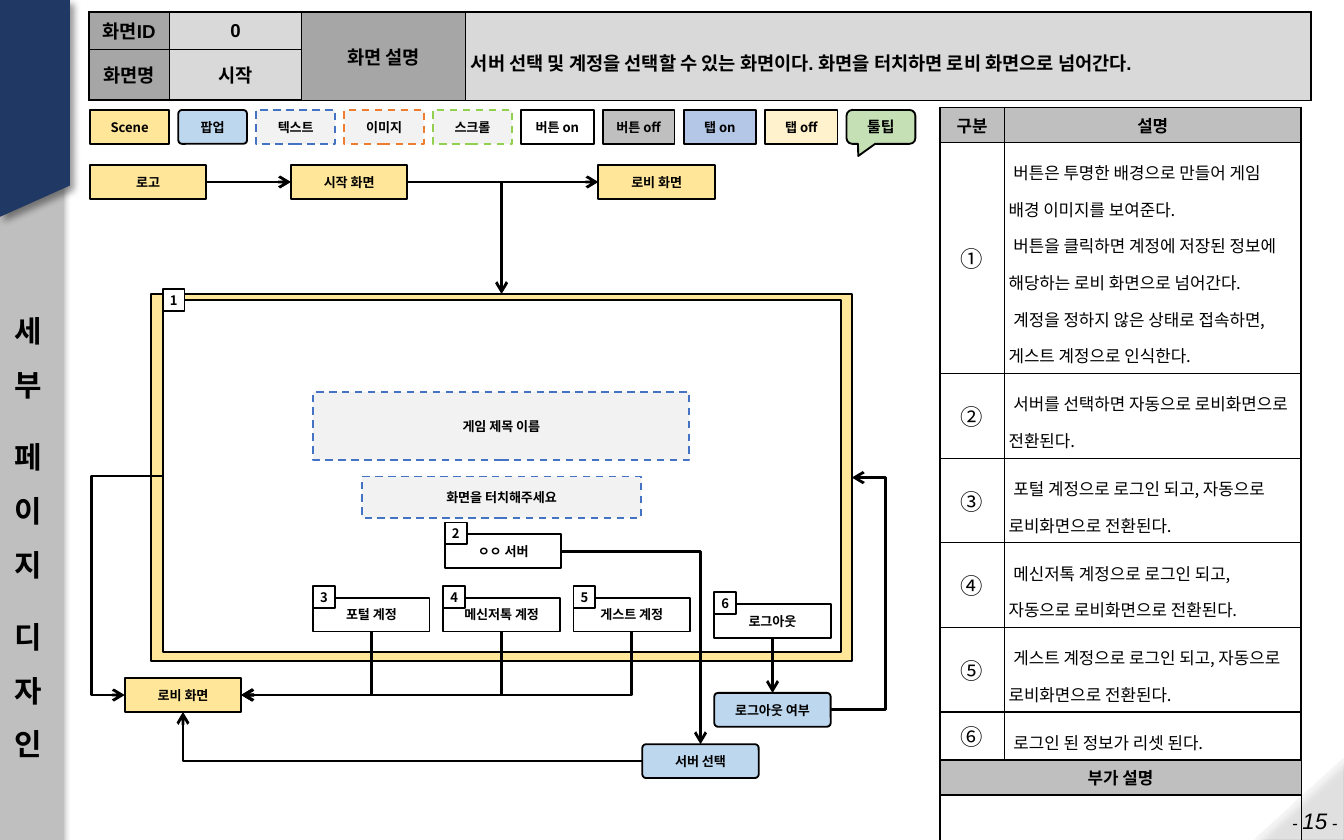
from lxml import etree
from pptx import Presentation
from pptx.dml.color import RGBColor
from pptx.enum.dml import MSO_LINE
from pptx.enum.shapes import MSO_CONNECTOR, MSO_SHAPE
from pptx.enum.text import MSO_ANCHOR, PP_ALIGN
from pptx.oxml import parse_xml
from pptx.oxml.ns import nsdecls, qn
from pptx.util import Cm, Pt

BLACK = RGBColor(0x00, 0x00, 0x00)
WHITE = RGBColor(0xFF, 0xFF, 0xFF)
NAVY = RGBColor(0x20, 0x38, 0x64)
PALE_GRAY = RGBColor(0xF2, 0xF2, 0xF2)
LIGHT_GRAY = RGBColor(0xD9, 0xD9, 0xD9)
GRAY = RGBColor(0xBF, 0xBF, 0xBF)
DARK_GRAY = RGBColor(0xA6, 0xA6, 0xA6)
SCENE = RGBColor(0xFF, 0xE6, 0x99)
POPUP = RGBColor(0xBD, 0xD7, 0xEE)
TOOLTIP = RGBColor(0xC5, 0xE0, 0xB4)
TAB_ON = RGBColor(0xB4, 0xC7, 0xE7)
TAB_OFF = RGBColor(0xFF, 0xF2, 0xCC)
BLUE = RGBColor(0x44, 0x72, 0xC4)
ORANGE = RGBColor(0xED, 0x7D, 0x31)
GREEN = RGBColor(0x92, 0xD0, 0x50)
KOREAN = "Noto Sans CJK KR"
RECT, ROUND = MSO_SHAPE.RECTANGLE, MSO_SHAPE.ROUNDED_RECTANGLE
TOP, LEFT, BOTTOM, RIGHT = range(4)
BOX_WIDTH, BOX_HEIGHT = 2.2, 0.64


def style_run(run, size, bold=False, font=KOREAN):
    run.font.size, run.font.bold, run.font.name = Pt(size), bold, font
    run.font.color.rgb = BLACK
    east_asian = etree.SubElement(run.font._element, qn("a:ea"))
    east_asian.set("typeface", KOREAN)


def style_text(text_frame, size, bold=False, font=KOREAN, align=PP_ALIGN.CENTER, spacing=None):
    for paragraph in text_frame.paragraphs:
        paragraph.alignment = align
        if spacing:
            paragraph.line_spacing = spacing
        for run in paragraph.runs:
            style_run(run, size, bold, font)


def add_box(slide, text, x, y, width=BOX_WIDTH, height=BOX_HEIGHT, fill=WHITE,
            kind=RECT, dash=None):
    shape = slide.shapes.add_shape(kind, Cm(x), Cm(y), Cm(width), Cm(height))
    shape.shadow.inherit = False
    shape.fill.solid()
    shape.fill.fore_color.rgb = fill
    shape.line.width = Pt(1)
    shape.line.color.rgb = dash or BLACK
    if dash:
        shape.line.dash_style = MSO_LINE.DASH
    if kind == ROUND:
        shape.adjustments[0] = 0.11
    if text:
        shape.text_frame.text = text
        shape.text_frame.vertical_anchor = MSO_ANCHOR.MIDDLE
        style_text(shape.text_frame, 8 if fill == TOOLTIP else 7, True)
    return shape


def add_tag(slide, number, x, y):
    tag = add_box(slide, str(number), x, y, 0.41, 0.41)
    frame = tag.text_frame
    frame.margin_left = frame.margin_right = frame.margin_top = frame.margin_bottom = 0


def add_button(slide, number, text, x, y):
    button = add_box(slide, text, x, y)
    add_tag(slide, number, x, y - 0.22)
    return button


def add_arrow(slide, start, start_side, end, end_side, kind=None, via=None, arrow="tailEnd"):
    """Join two shapes; kind names an elbow preset, via the x of its middle part."""
    connector = slide.shapes.add_connector(
        MSO_CONNECTOR.ELBOW if kind else MSO_CONNECTOR.STRAIGHT, 0, 0, 0, 0)
    connector.begin_connect(start, start_side)
    connector.end_connect(end, end_side)
    connector.line.color.rgb = BLACK
    connector.line.width = Pt(1.5)
    etree.SubElement(connector.line._get_or_add_ln(), qn("a:" + arrow)).set("type", "arrow")
    properties = connector._element.spPr
    etree.SubElement(properties, qn("a:effectLst"))
    if kind:
        geometry = properties.find(qn("a:prstGeom"))
        geometry.set("prst", kind)
        if via:
            share = (Cm(via) - connector.begin_x) / (connector.end_x - connector.begin_x)
            guide = etree.SubElement(geometry.find(qn("a:avLst")), qn("a:gd"))
            guide.set("name", "adj1")
            guide.set("fmla", f"val {round(share * 100000)}")


def add_shadowed(shape, fill, direction, alpha=None):
    shape.fill.solid()
    shape.fill.fore_color.rgb = fill
    shape.line.fill.background()
    if alpha:
        color = shape._element.spPr.find(qn("a:solidFill"))[0]
        etree.SubElement(color, qn("a:alpha")).set("val", str(alpha * 1000))
    shape._element.spPr.append(parse_xml(
        f'<a:effectLst {nsdecls("a")}><a:outerShdw blurRad="{Pt(4)}" dist="{Pt(3)}" '
        f'dir="{direction * 60000}" algn="t" rotWithShape="0"><a:srgbClr val="000000">'
        '<a:alpha val="40000"/></a:srgbClr></a:outerShdw></a:effectLst>'))


def add_grid(slide, x, y, widths, heights):
    frame = slide.shapes.add_table(len(heights), len(widths), Cm(x), Cm(y),
                                   Cm(sum(widths)), Cm(sum(heights)))
    table = frame.table
    table.first_row = table.horz_banding = False
    for column, width in zip(table.columns, widths):
        column.width = Cm(width)
    for row, height in zip(table.rows, heights):
        row.height = Cm(height)
    return table


def set_cell(cell, text, size, bold=False, fill=None, font=KOREAN, align=PP_ALIGN.CENTER,
             spacing=None):
    cell.margin_left = cell.margin_right = cell.margin_top = cell.margin_bottom = Cm(0.1)
    cell.vertical_anchor = MSO_ANCHOR.MIDDLE
    cell.text_frame.text = text
    style_text(cell.text_frame, size, bold, font, align, spacing)
    if fill:
        cell.fill.solid()
        cell.fill.fore_color.rgb = fill


def rule_table(table, thin_rows=()):
    """Border every cell: 1 pt outside, 0.5 pt between columns and below thin rows."""
    last_row, last_column = len(table.rows) - 1, len(table.columns) - 1
    for r in range(last_row + 1):
        for c in range(last_column + 1):
            cell = table.cell(r, c)
            if cell._tc.tcPr is None or cell._tc.tcPr.find(qn("a:solidFill")) is None:
                cell.fill.background()
            widths = {"lnL": 0.5 if c else 1, "lnR": 1 if c == last_column else 0.5,
                      "lnT": 0.5 if r - 1 in thin_rows else 1,
                      "lnB": 0.5 if r in thin_rows else 1}
            for index, (side, width) in enumerate(widths.items()):
                cell._tc.tcPr.insert(index, parse_xml(
                    f'<a:{side} {nsdecls("a")} w="{Pt(width)}"><a:solidFill>'
                    f'<a:srgbClr val="000000"/></a:solidFill></a:{side}>'))


def add_side_decoration(slide):
    add_shadowed(slide.shapes.add_shape(RECT, 0, 0, Cm(1.2), Cm(15.88)), GRAY, 90)
    corner = slide.shapes.add_shape(MSO_SHAPE.RIGHT_TRIANGLE, Cm(23.77), Cm(14.25),
                                    Cm(1.55), Cm(1.7))
    corner.rotation = 270
    add_shadowed(corner, PALE_GRAY, 45, 70)
    builder = slide.shapes.build_freeform(0, 0)
    builder.add_line_segments([(Cm(1.32), 0), (Cm(1.32), Cm(3.51)), (0, Cm(4.1))])
    add_shadowed(builder.convert_to_shape(), NAVY, 45)

    # Page number
    box = slide.shapes.add_textbox(Cm(22.74), Cm(15.25), Cm(2.79), Cm(0.51))
    box.text_frame.vertical_anchor = MSO_ANCHOR.MIDDLE
    box.text_frame.margin_top = box.text_frame.margin_bottom = Cm(0.1)
    paragraph = box.text_frame.paragraphs[0]
    paragraph.alignment = PP_ALIGN.RIGHT
    for text, size in (("- ", 9), ("15", 12), (" -", 9)):
        run = paragraph.add_run()
        run.text = text
        style_run(run, size, font="Arial")
        run.font.italic = True

    # Section title, one syllable per line
    title = slide.shapes.add_textbox(Cm(0.03), Cm(4.11), Cm(1.17), Cm(11.76)).text_frame
    title.word_wrap = True
    title.vertical_anchor = MSO_ANCHOR.MIDDLE
    title.text = "세부\n페이지\n디자인"
    style_text(title, 16, True, "Arial", PP_ALIGN.LEFT, 1.5)
    for paragraph in title.paragraphs[1:]:
        paragraph.space_before = Pt(10)


def add_header_table(slide):
    table = add_grid(slide, 1.68, 0.23, [1.52, 2.5, 3.1, 15.98], [0.7, 0.96])
    for r, (label, value) in enumerate([("화면ID", "0"), ("화면명", "시작")]):
        set_cell(table.cell(r, 0), label, 10, True, DARK_GRAY, "Arial")
        set_cell(table.cell(r, 1), value, 10, True, LIGHT_GRAY, "Arial")
    for c in (2, 3):
        table.cell(0, c).merge(table.cell(1, c))
    set_cell(table.cell(0, 2), "화면 설명", 10, True, DARK_GRAY, "Arial")
    set_cell(table.cell(0, 3), "서버 선택 및 계정을 선택할 수 있는 화면이다. 화면을 터치하면 로비 화면으로 넘어간다.",
             10, True, LIGHT_GRAY, "Arial", PP_ALIGN.LEFT, 1.5)
    rule_table(table, thin_rows=(0,))


def add_description_table(slide):
    notes = [
        "버튼은 투명한 배경으로 만들어 게임 배경 이미지를 보여준다.\n"
        "버튼을 클릭하면 계정에 저장된 정보에 해당하는 로비 화면으로 넘어간다.\n"
        "계정을 정하지 않은 상태로 접속하면, 게스트 계정으로 인식한다.",
        "서버를 선택하면 자동으로 로비화면으로 전환된다.",
        "포털 계정으로 로그인 되고, 자동으로 로비화면으로 전환된다.",
        "메신저톡 계정으로 로그인 되고, 자동으로 로비화면으로 전환된다.",
        "게스트 계정으로 로그인 되고, 자동으로 로비화면으로 전환된다.",
        "로그인 된 정보가 리셋 된다.",
    ]
    table = add_grid(slide, 17.76, 2.03, [1.22, 5.61],
                     [0.66, 4.37] + [1.6] * 4 + [0.91, 0.66, 1.7])
    for c, heading in enumerate(["구분", "설명"]):
        set_cell(table.cell(0, c), heading, 9, True, GRAY)
    for r, (mark, note) in enumerate(zip("①②③④⑤⑥", notes), 1):
        set_cell(table.cell(r, 0), mark, 12)
        cell = table.cell(r, 1)
        set_cell(cell, note, 9, align=PP_ALIGN.LEFT, spacing=1.5)
        cell.margin_left, cell.margin_right = Cm(0.08), Cm(0.15)
        for paragraph in cell.text_frame.paragraphs:
            paragraph._p.get_or_add_pPr().set("indent", str(Cm(0.09)))
    for r in (7, 8):
        table.cell(r, 0).merge(table.cell(r, 1))
    set_cell(table.cell(7, 0), "부가 설명", 9, True, GRAY)
    rule_table(table, thin_rows=(2, 3))


def add_legend(slide):
    x = 1.7
    for text, width, fill, kind, dash in [
            ("Scene", 1.5, SCENE, RECT, None), ("팝업", 1.3, POPUP, ROUND, None),
            ("텍스트", 1.5, PALE_GRAY, RECT, BLUE), ("이미지", 1.5, PALE_GRAY, RECT, ORANGE),
            ("스크롤", 1.5, PALE_GRAY, RECT, GREEN), ("버튼 on", 1.37, WHITE, RECT, None),
            ("버튼 off", 1.36, GRAY, RECT, None), ("탭 on", 1.37, TAB_ON, RECT, None),
            ("탭 off", 1.37, TAB_OFF, RECT, None),
            ("툴팁", 1.3, TOOLTIP, MSO_SHAPE.ROUNDED_RECTANGULAR_CALLOUT, None)]:
        shape = add_box(slide, text, x, 2.08, width, BOX_HEIGHT, fill, kind, dash)
        x += width + 0.17
    shape.adjustments[0], shape.adjustments[1] = -0.33, 0.86


def add_screen_flow(slide):
    # Scenes and the start screen
    frame = add_box(slide, "", 2.86, 5.56, 13.24, 6.94, SCENE)
    screen = add_box(slide, "", 3.08, 5.67, 12.82, 6.66)
    add_tag(slide, 1, 3.08, 5.47)
    logo, start, lobby = [add_box(slide, text, x, 3.12, fill=SCENE) for text, x in
                          (("로고", 1.7), ("시작 화면", 5.5), ("로비 화면", 11.31))]
    next_lobby = add_box(slide, "로비 화면", 2.36, 12.82, fill=SCENE)
    add_box(slide, "게임 제목 이름", 5.92, 7.41, 7.11, 1.29, PALE_GRAY, dash=BLUE)
    add_box(slide, "화면을 터치해주세요", 6.84, 9.01, 5.28, 0.78, PALE_GRAY, dash=BLUE)

    # Buttons and pop-ups
    server = add_button(slide, 2, "ㅇㅇ 서버", 8.41, 10.1)
    accounts = [add_button(slide, 3 + i, name + " 계정", 5.92 + 2.46 * i, 11.3)
                for i, name in enumerate(["포털", "메신저톡", "게스트"])]
    logout = add_button(slide, 6, "로그아웃", 13.5, 11.42)
    server_popup = add_box(slide, "서버 선택", 12.14, 14.07, fill=POPUP, kind=ROUND)
    logout_popup = add_box(slide, "로그아웃 여부", 13.5, 13.1, fill=POPUP, kind=ROUND)

    # Transitions
    add_arrow(slide, logo, RIGHT, start, LEFT)
    add_arrow(slide, start, RIGHT, lobby, LEFT)
    add_arrow(slide, logout, BOTTOM, logout_popup, TOP)
    add_arrow(slide, start, RIGHT, frame, TOP, "bentConnector2")
    add_arrow(slide, server, RIGHT, server_popup, TOP, "bentConnector2")
    add_arrow(slide, server_popup, LEFT, next_lobby, BOTTOM, "bentConnector2")
    for account in accounts:
        add_arrow(slide, next_lobby, RIGHT, account, BOTTOM, "bentConnector2", arrow="headEnd")
    add_arrow(slide, screen, LEFT, next_lobby, LEFT, "bentConnector3", via=1.73)
    add_arrow(slide, logout_popup, RIGHT, frame, RIGHT, "bentConnector3", via=16.74)


def main():
    presentation = Presentation()
    presentation.slide_width, presentation.slide_height = Cm(25.4), Cm(15.88)
    slide = presentation.slides.add_slide(presentation.slide_layouts[6])
    add_side_decoration(slide)
    add_legend(slide)
    add_description_table(slide)
    add_screen_flow(slide)
    add_header_table(slide)
    presentation.save("out.pptx")


if __name__ == "__main__":
    main()
